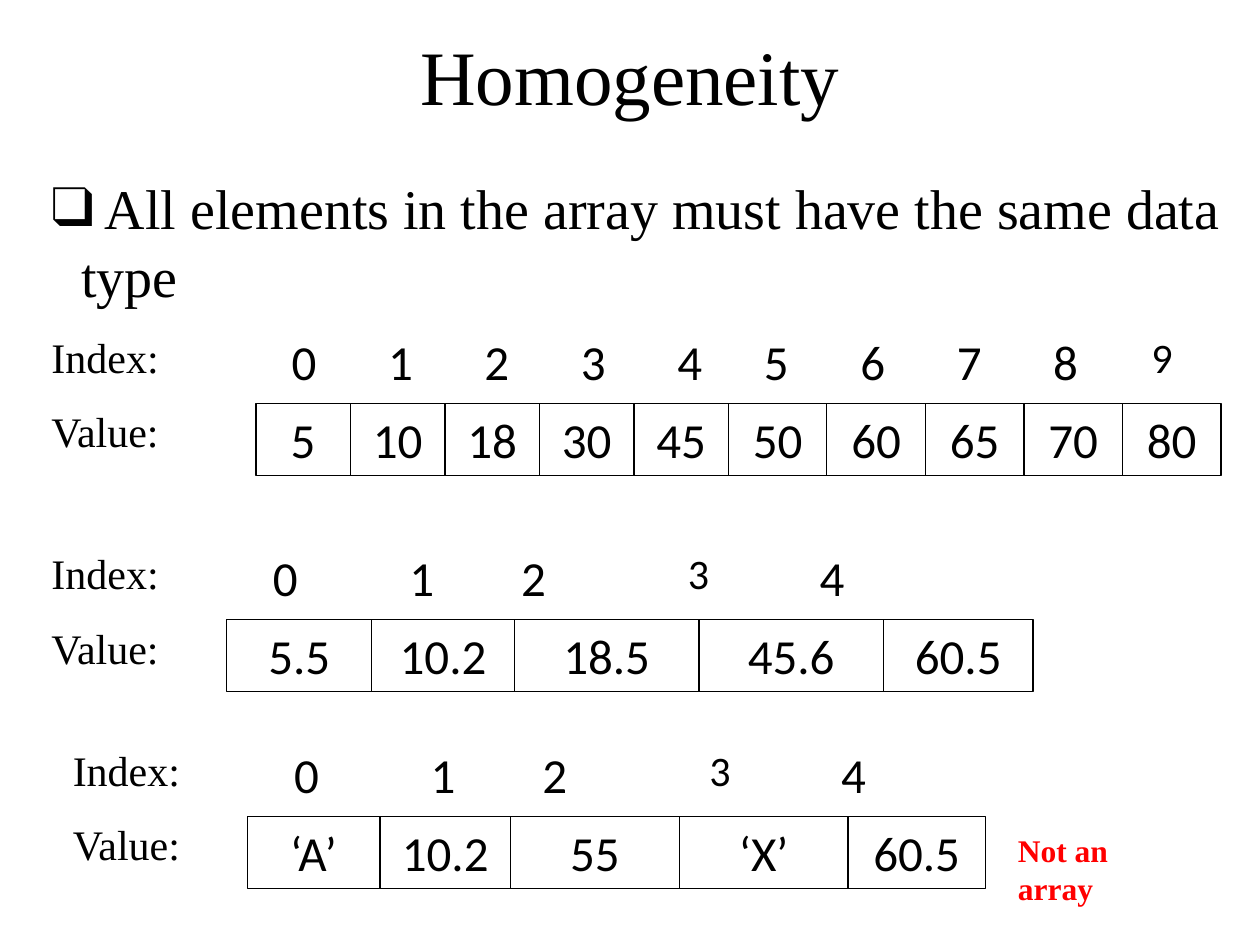
from itertools import accumulate
from lxml.etree import SubElement
from pptx import Presentation
from pptx.dml.color import RGBColor
from pptx.enum.shapes import MSO_SHAPE as Shape
from pptx.enum.text import MSO_ANCHOR as Anchor, PP_ALIGN as Align
from pptx.oxml.ns import qn
from pptx.util import Pt

SERIF, SANS = "Times New Roman", "Calibri"
BLACK, RED = "000000", "FF0000"
TITLE = "Homogeneity"
RULE = " All elements in the array must have the same data type"
VERDICT = "Not an array"
SHORT_OFFSETS = [101.5, 179.5, 243.4, 337.7, 414]
LONG_OFFSETS = [start + 55.1 * i for start in (123.9, 393.8) for i in range(5)]

ARRAYS = [
    dict(left=22.3, top=186, cells_left=146.2, small_index=9,
         values=["5", "10", "18", "30", "45", "50", "60", "65", "70", "80"],
         widths=[54] * 5 + [56.3] * 5, offsets=LONG_OFFSETS, index_width=55.1),
    dict(left=22.3, top=309.6, cells_left=129.6, small_index=3,
         values=["5.5", "10.2", "18.5", "45.6", "60.5"],
         widths=[82.8, 81.6, 105.4, 105.4, 85.6], offsets=SHORT_OFFSETS, index_width=78.4),
    dict(left=34.5, top=422, cells_left=141.3, small_index=3,
         values=["‘A’", "10.2", "55", "‘X’", "60.5"],
         widths=[75.8, 74.7, 96.4, 96.4, 78.4], offsets=SHORT_OFFSETS, index_width=78.4),
]


def color(value):
    """Turn a hex string into a colour."""
    return RGBColor.from_string(value)


def write(box, text, size, font=SERIF, ink=BLACK, align=Align.LEFT, anchor=Anchor.TOP):
    """Fill a box with one formatted paragraph."""
    frame = box.text_frame
    frame.word_wrap = True
    frame.vertical_anchor = anchor
    frame.text = text
    paragraph = frame.paragraphs[0]
    paragraph.alignment = align
    letters = paragraph.runs[0].font
    letters.size, letters.name = Pt(size), font
    letters.color.rgb = color(ink)
    return paragraph


def label(slide, text, left, top, width, height, size, **style):
    """Place a text box."""
    box = slide.shapes.add_textbox(Pt(left), Pt(top), Pt(width), Pt(height))
    return write(box, text, size, **style)


def cell(slide, value, left, top, width):
    """Place one outlined array element."""
    box = slide.shapes.add_shape(Shape.RECTANGLE, Pt(left), Pt(top), Pt(width), Pt(41))
    box.shadow.inherit = False
    box.fill.background()
    box.line.color.rgb = color(BLACK)
    box.line.width = Pt(0.74)
    write(box, value, 28, font=SANS, align=Align.CENTER)


def draw_array(slide, left, top, cells_left, small_index, values, widths, offsets, index_width):
    """Draw the labels, indexes and values of one array."""
    label(slide, "Index:", left, top, 101.5, 36, 24)
    label(slide, "Value:", left, top + 42.4, 101.5, 36, 24)
    lefts = accumulate(widths, initial=cells_left)
    for value, cell_left, width in zip(values, lefts, widths):
        cell(slide, value, cell_left, top + 44.6, width)
    for index, offset in enumerate(offsets):
        size, height = (24, 36) if index == small_index else (28, 41)
        label(slide, str(index), left + offset, top, index_width, height, size,
              font=SANS, align=Align.CENTER)


def add_bullet(paragraph):
    """Give the paragraph a hanging box bullet."""
    properties = paragraph._p.get_or_add_pPr()
    properties.set("marL", str(Pt(17)))
    properties.set("indent", str(-Pt(17)))
    SubElement(properties, qn("a:buFont")).set("typeface", SERIF)
    SubElement(properties, qn("a:buChar")).set("char", "❑")


deck = Presentation()
deck.slide_width, deck.slide_height = Pt(720), Pt(540)
slide = deck.slides.add_slide(deck.slide_layouts[6])
label(slide, TITLE, 54, 11.5, 612, 62, 44, align=Align.CENTER, anchor=Anchor.MIDDLE)
rule = label(slide, RULE, 22.3, 95.8, 686, 399.6, 32)
rule.space_before = Pt(8)
add_bullet(rule)
for array in ARRAYS:
    draw_array(slide, **array)
verdict = label(slide, VERDICT, 574.6, 471.6, 113, 28.8, 18, ink=RED)
verdict.runs[0].font.bold = True
deck.save("out.pptx")
